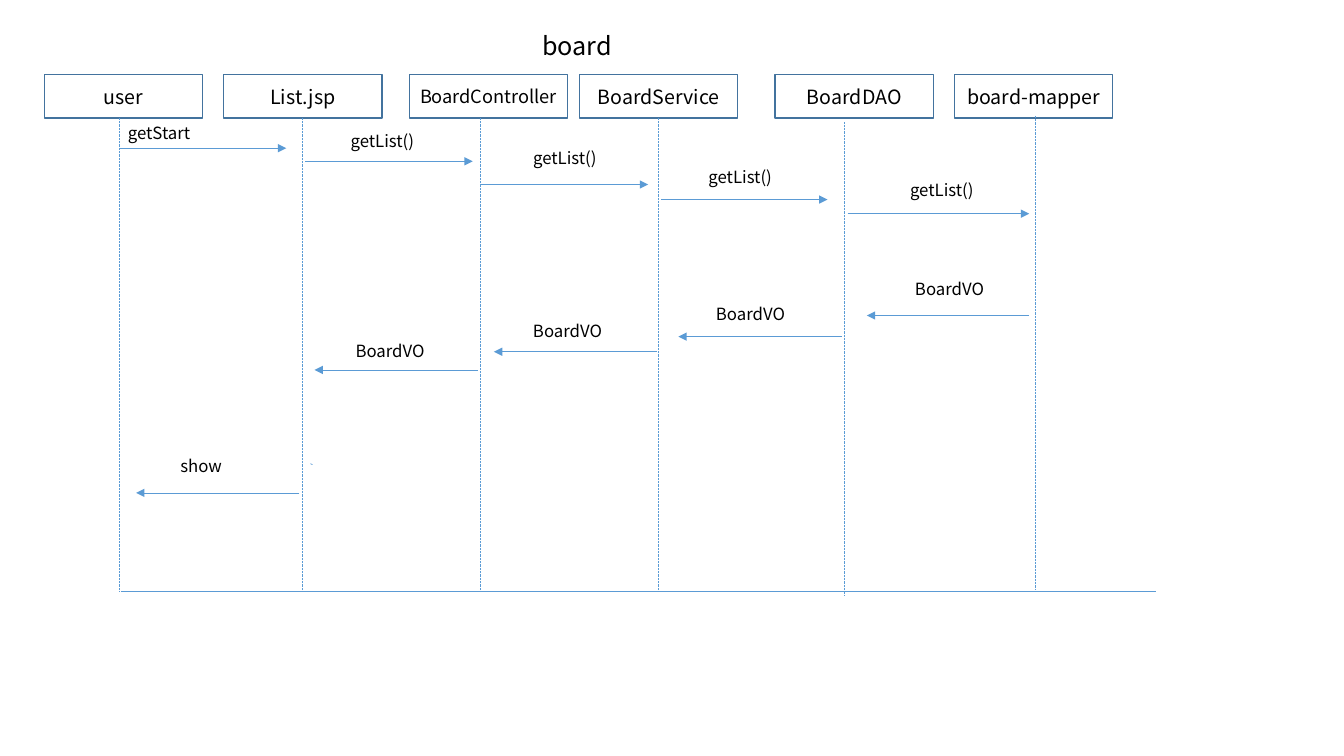
from dataclasses import dataclass

from lxml import etree
from pptx import Presentation
from pptx import util as u
from pptx.dml.color import RGBColor
from pptx.enum import dml, shapes, text
from pptx.oxml.ns import qn

CELL = 0.1  # inches per grid column and row


@dataclass(frozen=True)
class Theme:
    """Colours, font and type sizes of the slide."""
    font: str = "Noto Sans CJK KR"
    ink: RGBColor = RGBColor(0, 0, 0)
    frame: RGBColor = RGBColor(0x43, 0x73, 0x9E)
    line: RGBColor = RGBColor(0x5B, 0x9B, 0xD5)
    title: int = 18
    name: int = 14
    long_name: int = 13
    label: int = 12
    frame_width: float = 1
    line_width: float = 0.5


@dataclass(frozen=True)
class Box:
    """A region measured in grid columns and rows."""
    col: float
    row: float
    width: float
    height: float

    def inner(self, col, row, width, height):
        """Return a box placed relative to this one."""
        return Box(self.col + col, self.row + row, width, height)

    def emu(self):
        """Return left, top, width and height as slide lengths."""
        return [grid(v) for v in (self.col, self.row, self.width, self.height)]


THEME = Theme()
LEFT, CENTER = text.PP_ALIGN.LEFT, text.PP_ALIGN.CENTER
TOP, MIDDLE = text.MSO_ANCHOR.TOP, text.MSO_ANCHOR.MIDDLE

# name, box column, type size
PARTICIPANTS = [
    ("user", 0, THEME.name),
    ("List.jsp", 17.8, THEME.name),
    ("BoardController", 36.2, THEME.long_name),
    ("BoardService", 53.1, THEME.name),
    ("BoardDAO", 72.5, THEME.name),
    ("board-mapper", 90.3, THEME.name),
]

# column, downward shift
LIFELINES = [(0, 0), (18.2, 0), (35.9, 0), (53.5, 0), (72, 0.4), (90.9, -0.2)]

# label, sender, gap after lifeline, arrow length, arrow row,
# label column, label row, label width, alignment
MESSAGES = [
    ("getStart", 0, 0.1, 16.5, 3, -0.1, 0, 9, LEFT),
    ("getList()", 1, 0.3, 16.6, 4.3, 22, 0.8, 10, LEFT),
    ("getList()", 2, 0, 16.6, 6.6, 40.1, 2.5, 10, LEFT),
    ("getList()", 3, 0.3, 16.5, 8.1, 57.5, 4.4, 10, LEFT),
    ("getList()", 4, 0.3, 18, 9.5, 77.5, 5.6, 10, LEFT),
    ("BoardVO", 5, -0.6, -16.1, 19.6, 76, 15.5, 12.8, CENTER),
    ("BoardVO", 4, -0.3, -16.2, 21.7, 56.4, 17.9, 12.5, CENTER),
    ("BoardVO", 3, -0.1, -16.2, 23.2, 38.1, 19.6, 12.8, CENTER),
    ("BoardVO", 2, -0.3, -16.2, 25, 20.3, 21.6, 13.2, CENTER),
    ("show", 1, -0.3, -16.2, 37.2, 5.1, 33, 11, LEFT),
]


def grid(cells):
    """Turn grid cells into a slide length."""
    return u.Inches(cells * CELL)


def assign(target, **values):
    """Set every given attribute on the target."""
    for key, value in values.items():
        setattr(target, key, value)


def write(sp, words, size, align=CENTER, anchor=TOP, side=1.0, edge=0.5):
    """Write one formatted line of text into a shape."""
    tf = sp.text_frame
    assign(tf, word_wrap=True, auto_size=text.MSO_AUTO_SIZE.NONE,
           vertical_anchor=anchor, margin_left=grid(side),
           margin_right=grid(side), margin_top=grid(edge),
           margin_bottom=grid(edge))
    p = tf.paragraphs[0]
    p.alignment = align
    r = p.add_run()
    r.text = words
    assign(r.font, name=THEME.font, size=u.Pt(size))
    r.font.color.rgb = THEME.ink


def draw_line(s, box, start, end, dash=None, arrow=False):
    """Draw a thin line between two points of a box."""
    points = [grid(v) for x, y in (start, end)
              for v in (box.col + x, box.row + y)]
    line = s.shapes.add_connector(shapes.MSO_CONNECTOR.STRAIGHT, *points)
    line.line.color.rgb = THEME.line
    line.line.width = u.Pt(THEME.line_width)
    if dash:
        line.line.dash_style = dash
    if arrow:
        etree.SubElement(line.line._get_or_add_ln(), qn("a:tailEnd"),
                         type="triangle")
    etree.SubElement(line._element.spPr, qn("a:effectLst"))


def place_title(s, box):
    """Put the diagram name in the title placeholder."""
    sp = s.shapes.title
    assign(sp, **dict(zip(("left", "top", "width", "height"), box.emu())))
    write(sp, "board", THEME.title)


def draw_participants(s, box):
    """Draw the row of named participant boxes."""
    for name, col, size in PARTICIPANTS:
        place = box.inner(col, 0, 15.7, box.height)
        sp = s.shapes.add_shape(shapes.MSO_SHAPE.RECTANGLE, *place.emu())
        sp.shadow.inherit = False
        sp.fill.background()
        sp.line.color.rgb = THEME.frame
        sp.line.width = u.Pt(THEME.frame_width)
        write(sp, name, size, anchor=MIDDLE, side=0, edge=0)


def draw_lifelines(s, box):
    """Draw the dotted lifelines, the baseline and a small tick."""
    for col, shift in LIFELINES:
        draw_line(s, box, (col, shift), (col, box.height + shift),
                  dash=dml.MSO_LINE.ROUND_DOT)
    draw_line(s, box, (0.2, box.height), (box.width, box.height))
    draw_line(s, box, (19, 34.3), (19.2, 34.4))


def draw_messages(s, box):
    """Draw the message arrows with their labels."""
    for words, sender, gap, length, row, col, top, width, align in MESSAGES:
        start = LIFELINES[sender][0] + gap
        draw_line(s, box, (start, row), (start + length, row), arrow=True)
        place = box.inner(col, top, width, 3)
        write(s.shapes.add_textbox(*place.emu()), words, THEME.label, align)


def build():
    """Build the sequence diagram slide."""
    prs = Presentation()
    assign(prs, slide_width=grid(133.33), slide_height=grid(75))
    s = prs.slides.add_slide(prs.slide_layouts[5])
    timeline = Box(11.8, 11.7, 102.9, 47)
    place_title(s, Box(47.9, 2.5, 18.7, 4))
    draw_participants(s, Box(4.4, 7.4, 106, 4.3))
    draw_lifelines(s, timeline)
    draw_messages(s, timeline)
    prs.save("out.pptx")


build()
